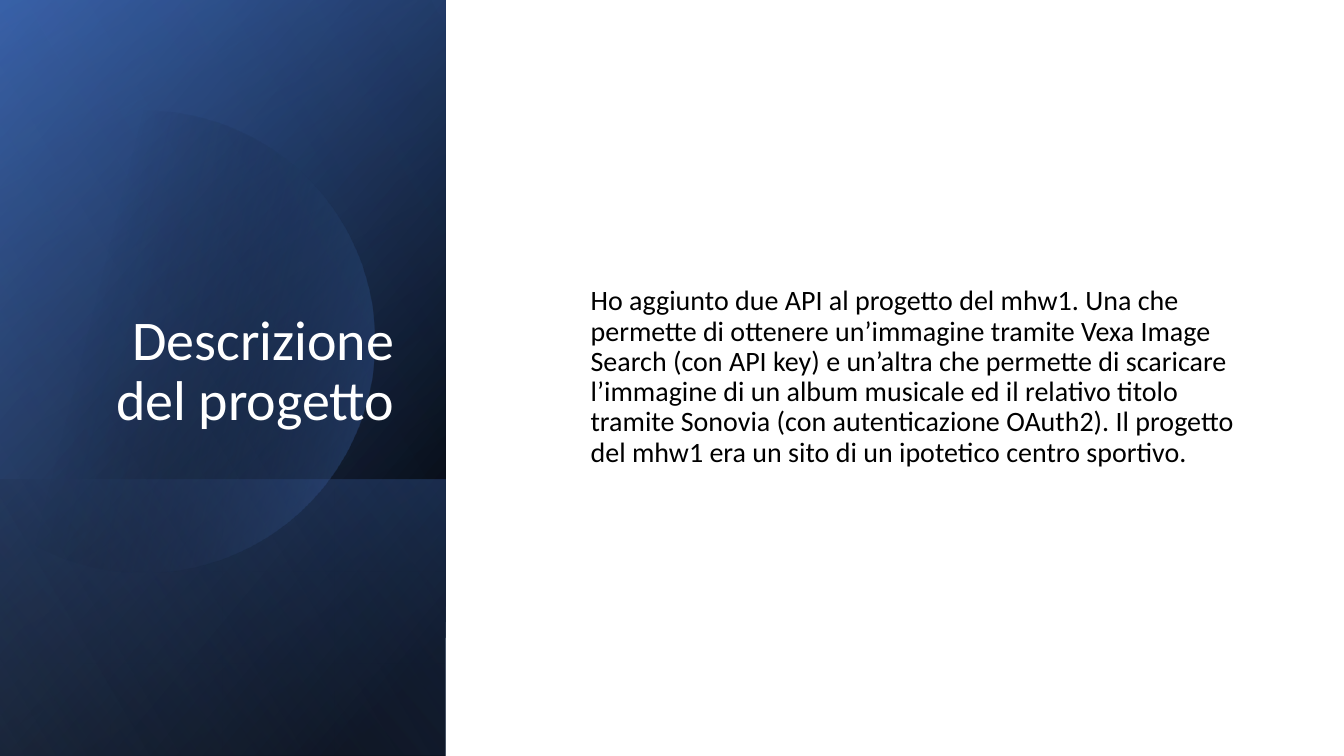
from math import acos, cos, pi, sin

from pptx import Presentation
from pptx.dml.color import RGBColor
from pptx.enum.shapes import MSO_SHAPE
from pptx.enum.text import MSO_ANCHOR, MSO_AUTO_SIZE, PP_ALIGN
from pptx.oxml import parse_xml
from pptx.oxml.ns import nsdecls, qn
from pptx.util import Cm, Pt

THEME = {
    "font": "Calibri",
    "title_size": 40,
    "body_size": 20,
    "white": "FFFFFF",
    "black": "000000",
    "deep_blue": "2F5597",
    "blue": "4472C4",
    "light_blue": "8FAADC",
}
SLIDE_WIDTH, SLIDE_HEIGHT = 33.87, 19.05
PANEL_WIDTH = 11.23
FOOT_HEIGHT = 6.96


def set_gradient(shape, stops, angle):
    """Fill a shape with (position, colour, opacity) stops along an angle in degrees."""
    shape.shadow.inherit = False
    shape.line.fill.background()
    shape.fill.gradient()
    stop_xml = "".join(
        f'<a:gs pos="{position * 1000}"><a:srgbClr val="{THEME[colour]}">'
        f'<a:alpha val="{opacity * 1000}"/></a:srgbClr></a:gs>'
        for position, colour, opacity in stops
    )
    gradient = parse_xml(
        f'<a:gradFill {nsdecls("a")} rotWithShape="1"><a:gsLst>{stop_xml}</a:gsLst>'
        f'<a:lin ang="{angle * 60000}" scaled="0"/></a:gradFill>'
    )
    properties = shape.element.spPr
    properties.replace(properties.find(qn("a:gradFill")), gradient)


def write_text(shape, text, *, size, colour, anchor, align, level=0, indent=0, before=0):
    """Write one formatted paragraph without a bullet into a placeholder."""
    frame = shape.text_frame
    frame.word_wrap = True
    frame.auto_size = MSO_AUTO_SIZE.NONE
    frame.vertical_anchor = anchor
    paragraph = frame.paragraphs[0]
    paragraph.level = level
    paragraph.alignment = align
    paragraph.line_spacing = 0.9
    paragraph.space_before = Pt(before)
    properties = paragraph._p.get_or_add_pPr()
    properties.set("marL", str(Cm(indent)))
    properties.set("indent", "0")
    properties.append(parse_xml(f'<a:buNone {nsdecls("a")}/>'))
    run = paragraph.add_run()
    run.text = text
    run.font.name = THEME["font"]
    run.font.size = Pt(size)
    run.font.color.rgb = RGBColor.from_string(colour)


presentation = Presentation()
presentation.slide_width = Cm(SLIDE_WIDTH)
presentation.slide_height = Cm(SLIDE_HEIGHT)
slide = presentation.slides.add_slide(presentation.slide_layouts[1])
shapes = slide.shapes

backdrop = shapes.add_shape(
    MSO_SHAPE.RECTANGLE, 0, 0, presentation.slide_width, presentation.slide_height
)
backdrop.shadow.inherit = False
backdrop.line.fill.background()
backdrop.fill.solid()
backdrop.fill.fore_color.rgb = RGBColor.from_string(THEME["white"])

# Left panel: each layer is a mirrored rectangle turned by 90 degrees.
# Layers: visible height, gradient stops, gradient angle; "disc" sits before the last.
layers = [
    (SLIDE_HEIGHT, [(8, "black", 100), (100, "deep_blue", 100)], 50),
    (SLIDE_HEIGHT, [(0, "black", 0), (99, "blue", 46)], 30),
    (FOOT_HEIGHT, [(2, "blue", 29), (100, "black", 30)], 130),
    "disc",
    (SLIDE_HEIGHT, [(0, "black", 0), (99, "light_blue", 11)], 120),
]
for layer in layers:
    if layer == "disc":
        centre_x, centre_y, radius = 3.63, 8.61, 5.82
        cut = acos(-centre_x / radius)  # the slide edge cuts the disc here
        steps = 120
        angles = [cut * (2 * step / steps - 1) for step in range(steps + 1)]
        points = [
            (Cm(centre_x + radius * cos(angle)), Cm(centre_y + radius * sin(angle)))
            for angle in angles
        ]
        builder = shapes.build_freeform(*points[0])
        builder.add_line_segments(points[1:], close=True)
        set_gradient(builder.convert_to_shape(), [(29, "black", 0), (100, "blue", 43)], 14)
        continue
    height, stops, angle = layer
    panel = shapes.add_shape(
        MSO_SHAPE.RECTANGLE,
        Cm((PANEL_WIDTH - height) / 2),
        Cm(SLIDE_HEIGHT - (height + PANEL_WIDTH) / 2),
        Cm(height),
        Cm(PANEL_WIDTH),
    )
    panel.rotation = 90
    panel.element.spPr.find(qn("a:xfrm")).set("flipH", "1")
    set_gradient(panel, stops, angle)

title, body = shapes.title, slide.placeholders[1]
boxes = [(title, (1.3, 1.63, 8.89, 9.4)), (body, (13.36, 1.8, 18.21, 15.42))]
for placeholder, (left, top, width, height) in boxes:
    placeholder.left, placeholder.top = Cm(left), Cm(top)
    placeholder.width, placeholder.height = Cm(width), Cm(height)
    placeholder.element.getparent().append(placeholder.element)  # bring to front

write_text(
    title,
    "Descrizione del progetto",
    size=THEME["title_size"],
    colour=THEME["white"],
    anchor=MSO_ANCHOR.BOTTOM,
    align=PP_ALIGN.RIGHT,
)
write_text(
    body,
    "Ho aggiunto due API al progetto del mhw1. Una che permette di ottenere "
    "un’immagine tramite Vexa Image Search (con API key) e un’altra che permette "
    "di scaricare l’immagine di un album musicale ed il relativo titolo tramite "
    "Sonovia (con autenticazione OAuth2). Il progetto del mhw1 era un sito di un "
    "ipotetico centro sportivo.",
    size=THEME["body_size"],
    colour=THEME["black"],
    anchor=MSO_ANCHOR.MIDDLE,
    align=PP_ALIGN.LEFT,
    level=1,
    indent=1.27,
    before=5,
)

presentation.save("out.pptx")
